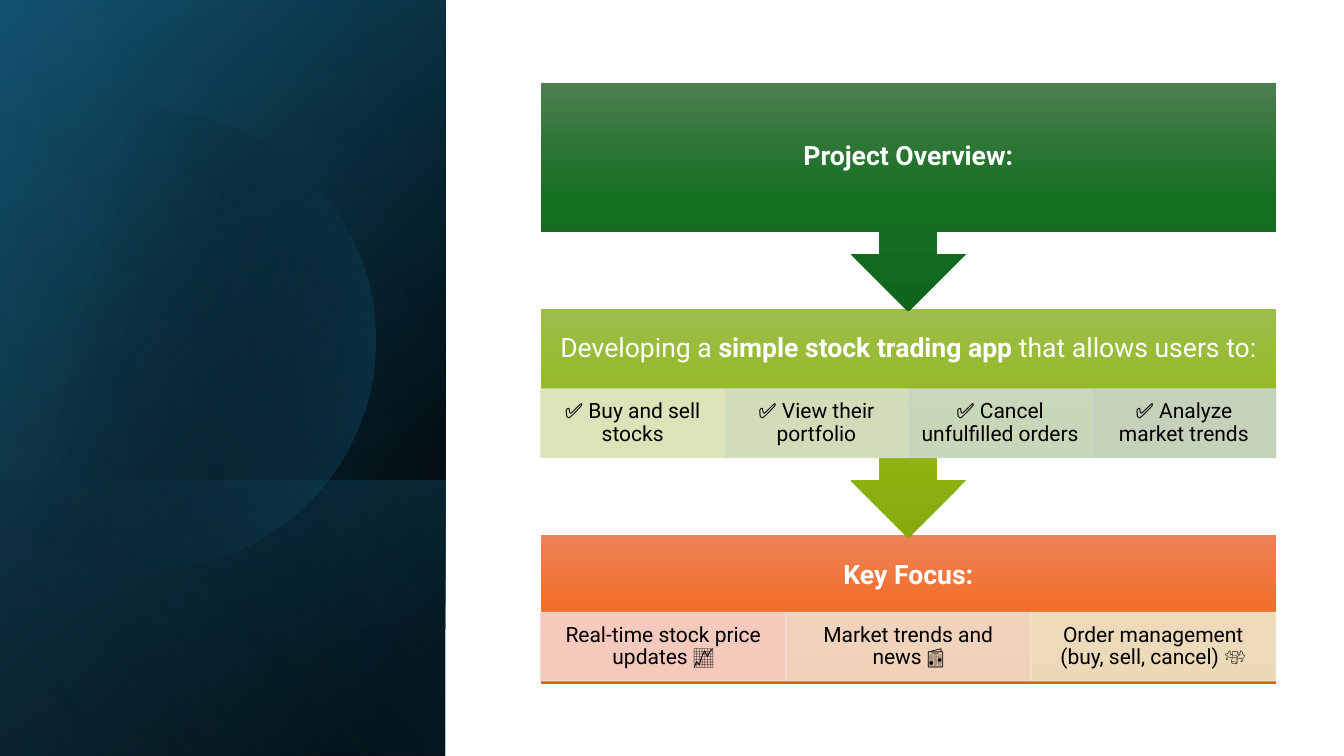
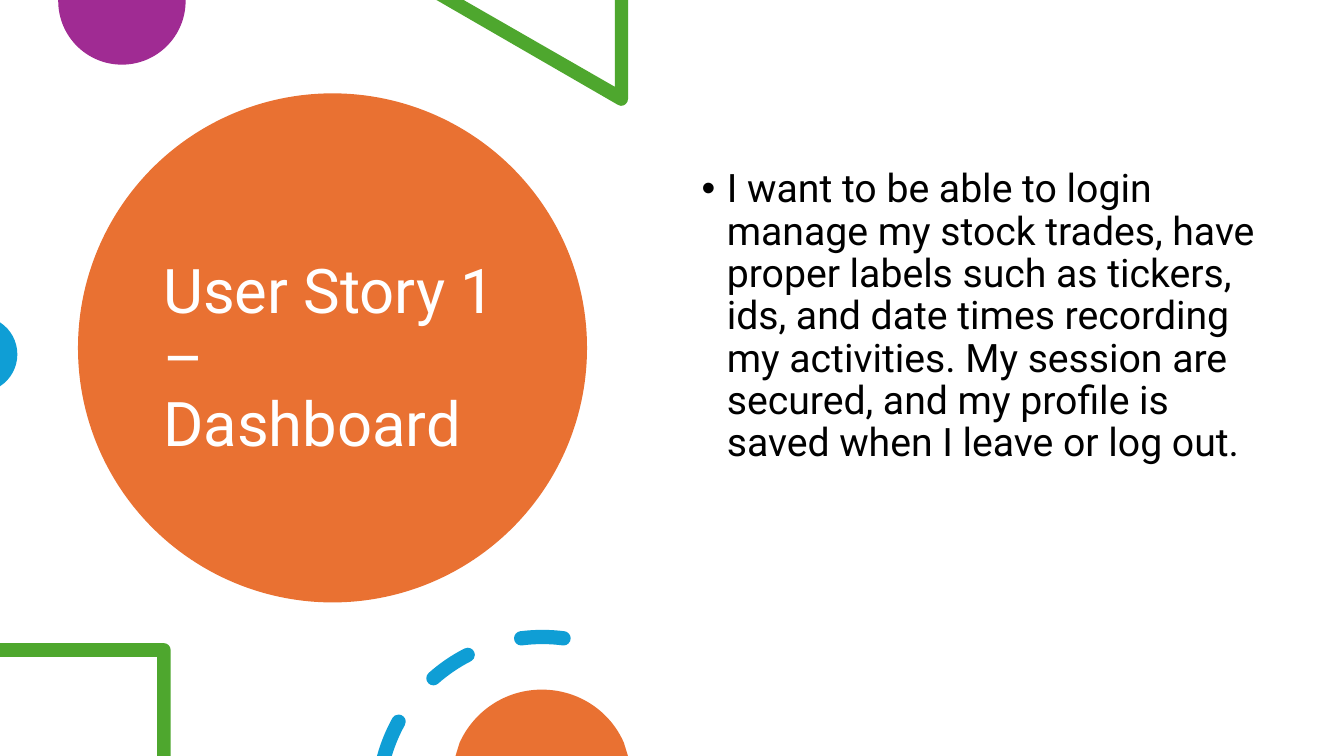
import math

import lxml.etree
import pptx
import pptx.dml.color
import pptx.enum.shapes
import pptx.enum.text
import pptx.oxml.ns
import pptx.util

Pt = pptx.util.Pt
qn = pptx.oxml.ns.qn
SHAPES = pptx.enum.shapes.MSO_SHAPE
ALIGN = pptx.enum.text.PP_ALIGN
ANCHOR = pptx.enum.text.MSO_ANCHOR

FONT = "Roboto"
WHITE, BLACK = "FFFFFF", "000000"
ORANGE, PURPLE, GREEN, BLUE = "E97132", "A02B93", "4EA72E", "0F9ED5"
TEAL = "156082"

SLIDE_WIDTH, SLIDE_HEIGHT = 960, 540
PANEL_WIDTH = 318.2
BASE_LAYERS = [
    (0, [(8, BLACK, 100), (100, "104862", 100)], 220),
    (0, [(0, BLACK, 0), (99, TEAL, 46)], 240),
    (342.9, [(2, TEAL, 29), (100, BLACK, 30)], 140),
]
PANEL_DISC = (104.4, 242.6, 163.9, -134.5, 134.5)
DISC_GRADIENT = ([(29, BLACK, 0), (100, TEAL, 43)], 14)
TOP_LAYERS = [(0, [(0, BLACK, 0), (99, "46B1E1", 11)], 150)]

STEP_LEFT, STEP_TOP, STEP_WIDTH, STEP_PITCH = 386.3, 59.2, 525, 161.6
CELL_HEIGHT = 48.8
STEPS = [
    {
        "shape": SHAPES.DOWN_ARROW_CALLOUT,
        "height": 163.3,
        "header": 106,
        "colors": ("4D7E50", "156F21", "0F661B"),
        "title": [("Project Overview:", True)],
        "cells": [],
    },
    {
        "shape": SHAPES.DOWN_ARROW_CALLOUT,
        "height": 163.3,
        "header": 57.2,
        "colors": ("9CBD4E", "92B916", "85AB0D"),
        "title": [
            ("Developing a ", False),
            ("simple stock trading app", True),
            (" that allows users to:", False),
        ],
        "cells": [
            ("✅ Buy and sell stocks", "E5E8CA"),
            ("✅ View their portfolio", "D8E2CA"),
            ("✅ Cancel unfulfilled orders", "CFDBCB"),
            ("✅ Analyze market trends", "CCD4CD"),
        ],
    },
    {
        "shape": SHAPES.RECTANGLE,
        "height": 106.2,
        "header": 55.1,
        "colors": ("ED8257", "F26E29", "E25F1A"),
        "title": [("Key Focus:", True)],
        "cells": [
            ("Real-time stock price updates 📈", "F7D5CE"),
            ("Market trends and news 📰", "F2DFCC"),
            ("Order management (buy, sell, cancel) 💸", "EEE7CB"),
        ],
    },
]

STORY_TITLE = "User Story 1 – Dashboard"
STORY_TEXT = (
    "I want to be able to login manage my stock trades, have proper labels such as "
    "tickers, ids, and date times recording my activities. My session are secured, "
    "and my profile is saved when I leave or log out."
)
PURPLE_DISC = (87.1, 0.7, 45.5, 180, 0)
BLUE_DISC = (-14.8, 253.1, 27.2, -57, 57)
TRIANGLE_FRAME = [
    (448.6, 0), (439.2, 0), (439.2, 62), (331.2, 0), (311.8, 0), (441.4, 74.9),
    (442.1, 75.4, 442.8, 75.6, 443.5, 75.6), (446.4, 75.6, 448.6, 73.4, 448.6, 70.6),
]
SQUARE_FRAME = [
    (117.2, 459.4), (0, 459.4), (0, 469.2), (112.3, 469.2), (112.3, 540), (121.9, 540),
    (121.9, 464.2), (121.9, 461.5, 119.7, 459.4, 117.2, 459.4),
]
ORANGE_DOME = [
    (325.4, 540), (328.3, 530.6), (338.4, 508.3, 360.7, 492.6, 387.1, 492.6),
    (413.5, 492.6, 436.1, 508.3, 445.7, 530.6), (448.6, 540),
]
DASH_CENTER, DASH_RADIUS, DASH_HALF = (387.4, 572.4), 117.4, 5.1
DASH_ANGLES = [(None, 209), (228.5, 243), (262.6, 277.4)]


def rgb(value):
    return pptx.dml.color.RGBColor.from_string(value)


def child(parent, tag, **attributes):
    return lxml.etree.SubElement(parent, qn(tag), attributes)


def add_alpha(element, percent):
    for color in element.iter(qn("a:srgbClr")):
        child(color, "a:alpha", val=str(percent * 1000))


def paint_solid(shape, color):
    shape.shadow.inherit = False
    shape.fill.solid()
    shape.fill.fore_color.rgb = rgb(color)
    shape.line.fill.background()


def paint_gradient(shape, stops, angle):
    shape.shadow.inherit = False
    shape.line.fill.background()
    shape.fill.gradient()
    shape.fill.gradient_angle = (360 - angle) % 360
    stop_list = next(shape._element.iter(qn("a:gsLst")))
    for old_stop in list(stop_list):
        stop_list.remove(old_stop)
    for position, color, opacity in stops:
        stop = child(stop_list, "a:gs", pos=str(position * 1000))
        child(stop, "a:srgbClr", val=color)
        if opacity < 100:
            add_alpha(stop, opacity)


def add_shape(slide, kind, left, top, width, height):
    return slide.shapes.add_shape(kind, Pt(left), Pt(top), Pt(width), Pt(height))


def add_outline(slide, contours):
    builder = None
    for contour in contours:
        corners = [(Pt(step[-2]), Pt(step[-1])) for step in contour]
        if builder is None:
            builder = slide.shapes.build_freeform(*corners[0])
        else:
            builder.move_to(*corners[0])
        builder.add_line_segments(corners[1:], close=True)
    shape = builder.convert_to_shape()
    steps = [step for contour in contours for step in contour[1:]]
    for segment, step in zip(list(shape._element.iter(qn("a:lnTo"))), steps):
        if len(step) == 6:
            curve = lxml.etree.Element(qn("a:cubicBezTo"))
            for x, y in zip(step[::2], step[1::2]):
                child(curve, "a:pt", x=str(Pt(x) - shape.left), y=str(Pt(y) - shape.top))
            segment.getparent().replace(segment, curve)
    return shape


def arc(center_x, center_y, radius, start, end):
    low, high = sorted((start, end))
    quarters = [a for a in range(-360, 721, 90) if low < a < high]
    stops = [low, *quarters, high]
    if start > end:
        stops.reverse()

    def point(angle, pull=0):
        cos, sin = math.cos(math.radians(angle)), math.sin(math.radians(angle))
        return (center_x + radius * (cos - pull * sin), center_y + radius * (sin + pull * cos))

    steps = [point(start)]
    for first, last in zip(stops, stops[1:]):
        pull = 4 / 3 * math.tan(math.radians(last - first) / 4)
        steps.append(point(first, pull) + point(last, -pull) + point(last))
    return steps


def edge_angle(radius):
    return 180 + math.degrees(math.asin((DASH_CENTER[1] - SLIDE_HEIGHT) / radius))


def cap(angle, start):
    middle = arc(*DASH_CENTER, DASH_RADIUS, angle, angle + 1)[0]
    return arc(*middle, DASH_HALF, start, start + 180)[1:]


def dash(start, end):
    outer, inner = DASH_RADIUS + DASH_HALF, DASH_RADIUS - DASH_HALF
    cut = start is None
    outer_start, inner_start = (edge_angle(outer), edge_angle(inner)) if cut else (start, start)
    contour = arc(*DASH_CENTER, outer, outer_start, end) + cap(end, end)
    contour += arc(*DASH_CENTER, inner, end, inner_start)[1:]
    return contour if cut else contour + cap(start, start + 180)


def write(shape, runs, size, color, align, anchor, insets=(7.2, 3.6, 7.2, 3.6)):
    frame = shape.text_frame
    frame.word_wrap = True
    frame.vertical_anchor = anchor
    frame.margin_left, frame.margin_top, frame.margin_right, frame.margin_bottom = map(Pt, insets)
    paragraph = frame.paragraphs[0]
    paragraph.alignment = align
    paragraph.line_spacing = 0.9
    for text, bold in runs:
        run = paragraph.add_run()
        run.text = text
        run.font.name = FONT
        run.font.size = Pt(size)
        run.font.bold = bold
        run.font.color.rgb = rgb(color)
    return paragraph


def add_textbox(slide, left, top, width, height, text, size, color, anchor):
    box = slide.shapes.add_textbox(Pt(left), Pt(top), Pt(width), Pt(height))
    return write(box, [(text, False)], size, color, ALIGN.LEFT, anchor)


def add_panel_layers(slide, layers):
    for top, stops, angle in layers:
        layer = add_shape(slide, SHAPES.RECTANGLE, 0, top, PANEL_WIDTH, SLIDE_HEIGHT - top)
        paint_gradient(layer, stops, angle)


def add_step(slide, top, step):
    band = add_shape(slide, step["shape"], STEP_LEFT, top, STEP_WIDTH, step["height"])
    paint_gradient(band, [(i * 50, color, 100) for i, color in enumerate(step["colors"])], 90)
    cells = step["cells"]
    bottom_inset = 10.8 + (CELL_HEIGHT if cells else 0)
    write(band, step["title"], 19, WHITE, ALIGN.CENTER, ANCHOR.MIDDLE,
          (10.8, 10.8, 10.8, bottom_inset))
    for index, (text, color) in enumerate(cells):
        width = STEP_WIDTH / len(cells)
        cell = add_shape(slide, SHAPES.RECTANGLE, STEP_LEFT + index * width,
                         top + step["header"], width, CELL_HEIGHT)
        paint_solid(cell, color)
        cell.line.color.rgb = rgb(color)
        cell.line.width = Pt(1)
        add_alpha(cell._element.spPr, 90)
        write(cell, [(text, False)], 15, BLACK, ALIGN.CENTER, ANCHOR.MIDDLE, (8.6, 1.4, 8.6, 1.4))


def build_overview(slide):
    add_panel_layers(slide, BASE_LAYERS)
    paint_gradient(add_outline(slide, [arc(*PANEL_DISC)]), *DISC_GRADIENT)
    add_panel_layers(slide, TOP_LAYERS)
    for index in reversed(range(len(STEPS))):
        add_step(slide, STEP_TOP + index * STEP_PITCH, STEPS[index])


def build_story(slide):
    paint_solid(add_shape(slide, SHAPES.OVAL, 55.7, 66.7, 363.6, 363.6), ORANGE)
    add_textbox(slide, 109.5, 97.2, 255, 320, STORY_TITLE, 44, WHITE, ANCHOR.MIDDLE)
    outlines = [
        ([[(132.6, 0), (41.6, 0), *arc(*PURPLE_DISC)]], PURPLE),
        ([TRIANGLE_FRAME], GREEN),
        ([arc(*BLUE_DISC)], BLUE),
        ([SQUARE_FRAME], GREEN),
        ([dash(*angles) for angles in DASH_ANGLES], BLUE),
        ([ORANGE_DOME], ORANGE),
    ]
    for contours, color in outlines:
        paint_solid(add_outline(slide, contours), color)
    paragraph = add_textbox(slide, 494.1, 117, 414, 228, STORY_TEXT, 28, BLACK, ANCHOR.TOP)
    properties = paragraph._p.get_or_add_pPr()
    properties.set("marL", str(Pt(18)))
    properties.set("indent", str(-Pt(18)))
    child(properties, "a:buFont", typeface="Arial")
    child(properties, "a:buChar", char="•")


def main():
    presentation = pptx.Presentation()
    presentation.slide_width, presentation.slide_height = Pt(SLIDE_WIDTH), Pt(SLIDE_HEIGHT)
    for build in (build_overview, build_story):
        slide = presentation.slides.add_slide(presentation.slide_layouts[6])
        slide.background.fill.solid()
        slide.background.fill.fore_color.rgb = rgb(WHITE)
        build(slide)
    presentation.save("out.pptx")


if __name__ == "__main__":
    main()
